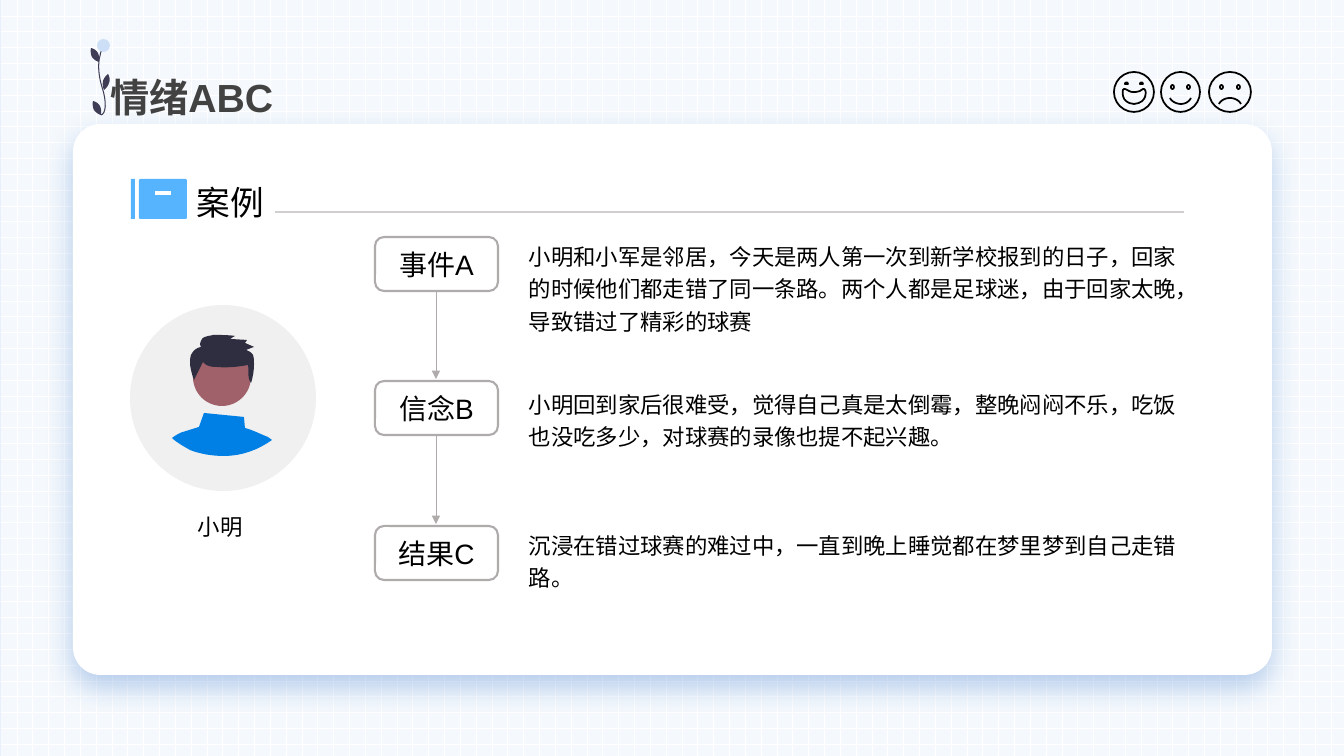
import pptx
import pptx.util
import pptx.dml.color
import pptx.enum.dml
import pptx.enum.shapes
import pptx.enum.text
import pptx.oxml
import pptx.oxml.ns

EMU_PER_PIXEL = 914400 / 100.8
SHAPES = pptx.enum.shapes.MSO_SHAPE
ALIGN = pptx.enum.text.PP_ALIGN
ANCHOR = pptx.enum.text.MSO_ANCHOR
CJK = "Noto Sans CJK SC"
BLACK, WHITE, GREY, BOOK_BLUE = "000000", "FFFFFF", "AFABAB", "56B4FF"
LEAF, FLOWER, SKIN, HAIR, SHIRT = "3F3D56", "CDDFF7", "A0616A", "2F2E41", "007FE5"

STEPS = [
    ("事件A", 237, 233, 105, CJK,
     "小明和小军是邻居，今天是两人第一次到新学校报到的日子，回家的时候他们都走错了同一条路。"
     "两个人都是足球迷，由于回家太晚，导致错过了精彩的球赛"),
    ("信念B", 381, 381, 73, "Arial",
     "小明回到家后很难受，觉得自己真是太倒霉，整晚闷闷不乐，吃饭也没吃多少，"
     "对球赛的录像也提不起兴趣。"),
    ("结果C", 526, 522, 73, "Arial",
     "沉浸在错过球赛的难过中，一直到晚上睡觉都在梦里梦到自己走错路。"),
]
STEP_LEFT, STEP_WIDTH, STEP_HEIGHT = 375, 123, 54

FACES = [(1114, 40), (1161, 39), (1209, 42)]
EYES = [(1171, 85), (1187, 85), (1220, 85), (1237, 85)]
LAUGHING_EYES = [1125, 1140]
LAUGH = [(1145, 90), (1144, 89, 1144, 88, 1140, 91), (1137, 92, 1136, 92, 1135, 92),
         (1133, 92), (1132, 92, 1131, 92, 1129, 91), (1124, 88, 1124, 89, 1123, 90),
         (1123, 90, 1120, 103, 1134, 104), (1148, 103, 1146, 90, 1145, 90)]
SMILE = [(1170, 98), (1172, 102, 1177, 104, 1181, 104), (1185, 104, 1189, 102, 1191, 98)]
FROWN = [(1219, 104), (1221, 100, 1226, 98, 1230, 98), (1234, 98, 1239, 100, 1241, 104)]

UPPER_LEAF = [(109, 83), (108, 87, 104, 90, 104, 90), (104, 90, 102, 86, 103, 81),
              (104, 77, 108, 74, 108, 74), (108, 74, 111, 78, 109, 83)]
LEFT_LEAF = [(100, 106), (102, 110, 101, 115, 101, 115), (101, 115, 97, 114, 94, 110),
             (92, 106, 93, 101, 93, 101), (93, 101, 98, 102, 100, 106)]
LEFT_LEAF_OFFSETS = [(0, 0), (-2, -53)]
STEM = [(101, 115), (106, 114, 107, 102, 102, 87), (98, 74, 98, 62, 100, 56),
        (101, 49, 104, 46, 104, 46)]

SHIRT_OUTLINE = [(268, 437), (260, 434, 253, 430, 245, 428), (244, 417), (204, 413),
                 (199, 427), (183, 432), (179, 433, 175, 436, 172, 438),
                 (176, 442, 183, 446, 190, 450), (200, 454, 212, 456, 224, 456),
                 (242, 456, 258, 450, 272, 440)]
HAIR_OUTLINE = [(203, 362), (206, 366, 211, 367, 216, 367), (225, 368, 239, 367, 248, 365),
                (249, 371, 247, 378, 251, 383), (253, 377, 254, 370, 254, 364),
                (254, 361, 254, 358, 253, 355), (252, 353, 249, 351, 246, 350),
                (249, 349, 251, 348, 254, 347), (245, 343), (247, 340), (230, 339),
                (235, 336), (228, 335, 220, 335, 213, 335), (210, 336, 206, 336, 203, 338),
                (201, 340, 199, 344, 201, 347), (196, 348, 193, 351, 191, 355),
                (190, 358, 190, 361, 190, 365), (191, 370, 192, 375, 194, 380)]


def emu(pixels):
    return pptx.util.Emu(round(pixels * EMU_PER_PIXEL))


def color(value):
    return pptx.dml.color.RGBColor.from_string(value)


def add_xml(parent, xml):
    namespace = pptx.oxml.ns.nsdecls("a")
    parent.append(pptx.oxml.parse_xml(xml.replace(" NS", " " + namespace, 1)))


def paint(shape, fill=None, line=None, width=1.25):
    shape.shadow.inherit = False
    if fill:
        shape.fill.solid()
        shape.fill.fore_color.rgb = color(fill)
    else:
        shape.fill.background()
    if line:
        shape.line.color.rgb = color(line)
        shape.line.width = pptx.util.Pt(width)
    else:
        shape.line.fill.background()
    return shape


def add_preset(kind, box, fill=None, line=None, width=1.25):
    return paint(slide.shapes.add_shape(kind, *map(emu, box)), fill, line, width)


def add_outline(segments, fill=None, line=None, width=1.25, closed=True, offset=(0, 0)):
    points = [segments[0]]
    for segment in segments[1:]:
        if len(segment) == 2:
            points.append(segment)
            continue
        controls = [points[-1], segment[0:2], segment[2:4], segment[4:6]]
        for step in range(1, 9):
            t = step / 8
            weights = [(1 - t) ** 3, 3 * t * (1 - t) ** 2, 3 * t * t * (1 - t), t ** 3]
            points.append(tuple(sum(w * c[axis] for w, c in zip(weights, controls))
                                for axis in (0, 1)))
    points = [(emu(x + offset[0]), emu(y + offset[1])) for x, y in points]
    builder = slide.shapes.build_freeform(*points[0], scale=1.0)
    builder.add_line_segments(points[1:], close=closed)
    return paint(builder.convert_to_shape(), fill, line, width)


def add_line(start, end, line, width, arrow=False):
    connector = slide.shapes.add_connector(
        pptx.enum.shapes.MSO_CONNECTOR.STRAIGHT, *map(emu, start + end))
    connector.line.color.rgb = color(line)
    connector.line.width = pptx.util.Pt(width)
    if arrow:
        add_xml(connector.line._get_or_add_ln(), '<a:tailEnd NS type="triangle"/>')
    add_xml(connector._element.spPr, "<a:effectLst NS/>")


def write(shape, text, size, font="Arial", ink=BLACK, bold=False, align=ALIGN.LEFT,
          anchor=ANCHOR.TOP, spacing=1.2, wrap=True):
    frame = shape.text_frame
    frame.word_wrap = wrap
    frame.vertical_anchor = anchor
    paragraph = frame.paragraphs[0]
    paragraph.text = text
    paragraph.alignment = align
    paragraph.line_spacing = spacing
    paragraph.font.size = pptx.util.Pt(size)
    paragraph.font.bold = bold
    paragraph.font.color.rgb = color(ink)
    paragraph.font.name = font
    properties = paragraph._p.find(".//" + pptx.oxml.ns.qn("a:defRPr"))
    add_xml(properties, f'<a:ea NS typeface="{CJK}"/>')
    return frame


def add_text(box, text, size, **style):
    return write(slide.shapes.add_textbox(*map(emu, box)), text, size, **style)


presentation = pptx.Presentation()
presentation.slide_width, presentation.slide_height = emu(1344), emu(756)
slide = presentation.slides.add_slide(presentation.slide_layouts[6])
slide.background.fill.solid()
slide.background.fill.fore_color.rgb = color("E6EFFB")

grid = add_preset(SHAPES.RECTANGLE, (1, 0, 1343, 756))
grid.fill.patterned()
grid.fill.pattern = pptx.enum.dml.MSO_PATTERN.DOTTED_GRID
grid.fill.fore_color.rgb = color(WHITE)
grid.fill.back_color.rgb = color("F5F9FD")

card = add_preset(SHAPES.ROUNDED_RECTANGLE, (73, 124, 1199, 551), WHITE)
card.adjustments[0] = 0.05
add_xml(card._element.spPr.find(pptx.oxml.ns.qn("a:effectLst")),
        '<a:outerShdw NS blurRad="254000" dist="127000" dir="5400000" algn="t" rotWithShape="0">'
        '<a:srgbClr val="1F65C3"><a:alpha val="30000"/></a:srgbClr></a:outerShdw>')

for left, width in FACES:
    add_preset(SHAPES.OVAL, (left, 72, width, 40), line=BLACK)
for left, top in EYES:
    add_preset(SHAPES.OVAL, (left, top, 3, 4), line=BLACK)
for left in LAUGHING_EYES:
    add_outline([(left, 84), (left, 82, left + 3, 82, left + 3, 84)], line=BLACK)
add_outline(LAUGH, line=BLACK)
for mouth in (SMILE, FROWN):
    add_outline(mouth, line=BLACK, closed=False)

add_outline(UPPER_LEAF, LEAF)
for offset in LEFT_LEAF_OFFSETS:
    add_outline(LEFT_LEAF, LEAF, offset=offset)
add_outline(STEM, line=LEAF, width=0.75, closed=False)
add_preset(SHAPES.OVAL, (97, 39, 13, 13), FLOWER)

title = add_text((110, 66, 662, 53), "情绪ABC", 28, ink="424242", bold=True,
                 anchor=ANCHOR.MIDDLE)
title.margin_left = title.margin_right = title.margin_top = title.margin_bottom = 0

add_preset(SHAPES.RECTANGLE, (131, 179, 4, 40), BOOK_BLUE)
add_preset(SHAPES.ROUNDED_RECTANGLE, (139, 179, 48, 40), BOOK_BLUE).adjustments[0] = 0.04
add_preset(SHAPES.RECTANGLE, (155, 191, 16, 4), WHITE)
add_text((186, 171, 89, 54), "案例", 24, font=CJK, align=ALIGN.CENTER, anchor=ANCHOR.MIDDLE)
add_line((275, 212), (1184, 212), "D0CECE", 1.5)

add_preset(SHAPES.OVAL, (130, 305, 186, 186), "F0F0F0")
add_outline(SHIRT_OUTLINE, SHIRT)
add_preset(SHAPES.OVAL, (193, 348, 58, 58), SKIN)
add_outline(HAIR_OUTLINE, HAIR)
add_text((188, 503, 66, 40), "小明", 16, wrap=False)

for label, top, text_top, text_height, font, description in STEPS:
    step = add_preset(SHAPES.ROUNDED_RECTANGLE, (STEP_LEFT, top, STEP_WIDTH, STEP_HEIGHT),
                      line=GREY, width=1.5)
    write(step, label, 20, align=ALIGN.CENTER, anchor=ANCHOR.MIDDLE, spacing=1.0)
    add_text((519, text_top, 674, text_height), description, 16, font=font)
for current, following in zip(STEPS, STEPS[1:]):
    add_line((436, current[1] + STEP_HEIGHT + 1), (436, following[1] - 2), GREY, 0.5, arrow=True)

presentation.save("out.pptx")
